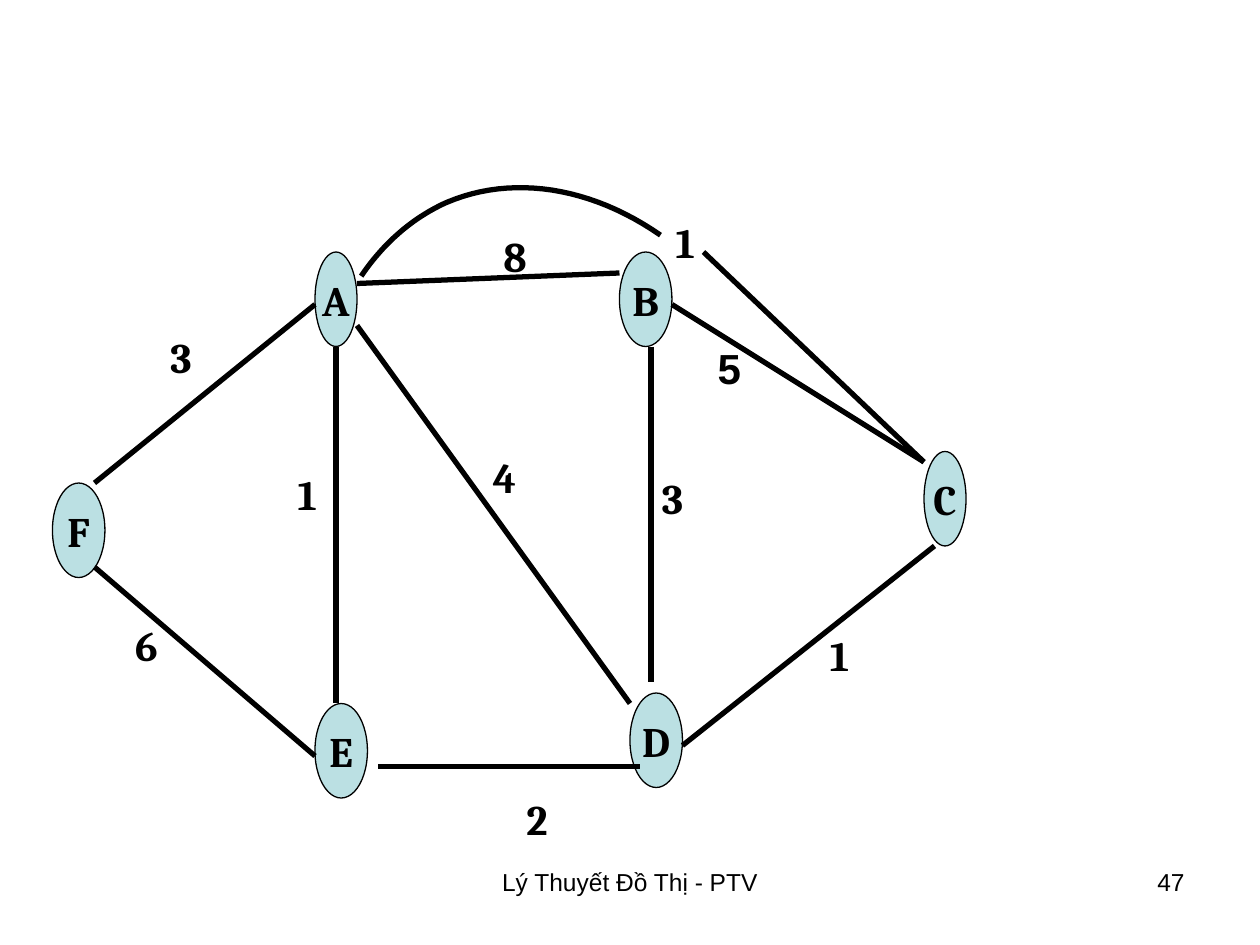
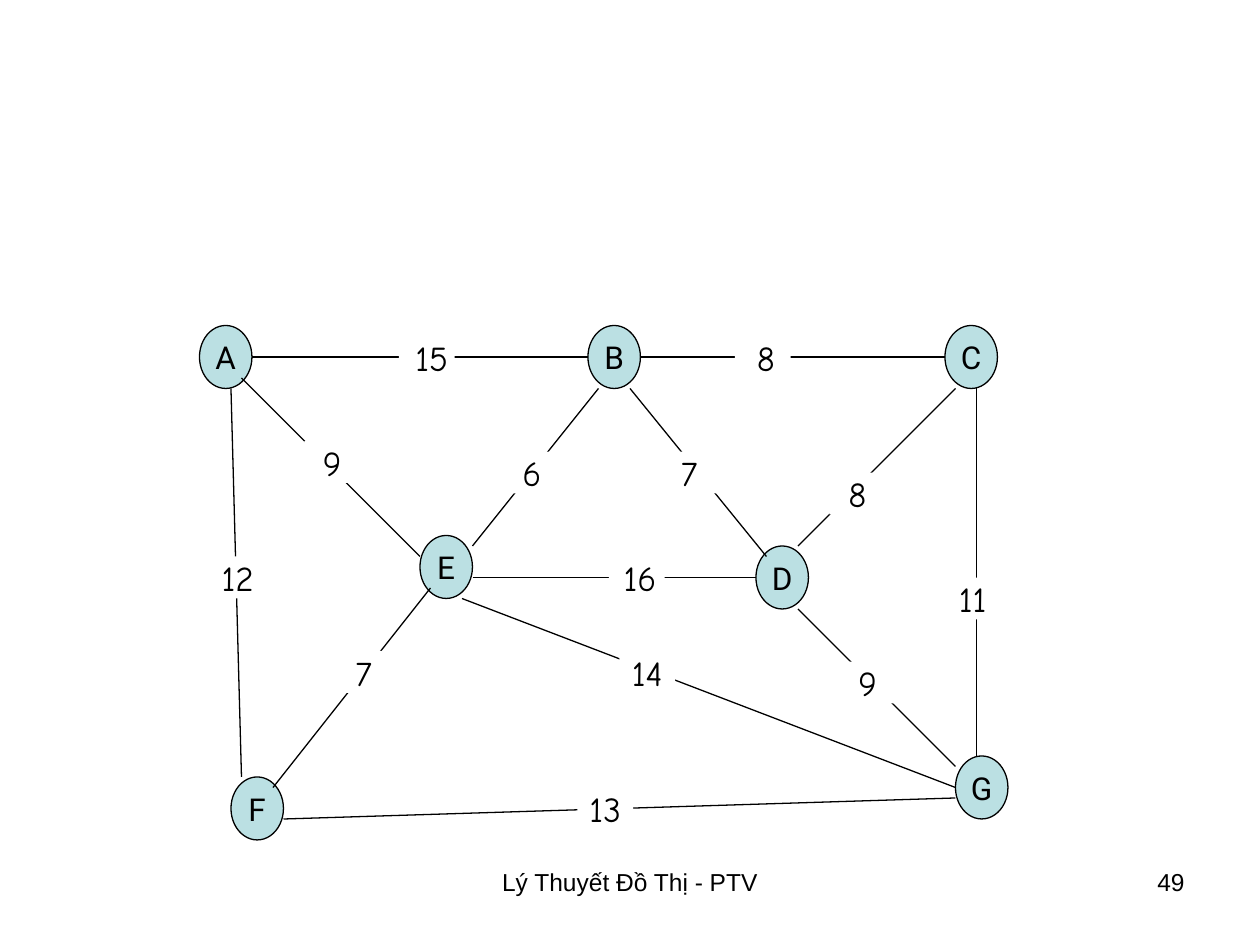
from lxml.etree import SubElement
from pptx import Presentation
from pptx.dml.color import RGBColor
from pptx.enum.shapes import MSO_CONNECTOR, MSO_SHAPE
from pptx.enum.text import MSO_ANCHOR, PP_ALIGN
from pptx.oxml.ns import qn
from pptx.util import Inches, Pt

# Shared look; the slide is a grid of 120 columns and 90 rows
COLUMNS, ROWS = 120, 90
WIDTH, HEIGHT = Inches(10), Inches(7.5)
INK, NODE_FILL, PAPER = "000000", "BBE0E3", "FFFFFF"
FOOTER = "Lý Thuyết Đồ Thị - PTV"
FOOTER_FORMAT = {"name": "Arial", "size": Pt(14), "bold": False}
FOOTER_BOX, NUMBER_BOX = (41, 82, 38, 6.2), (86, 82, 28, 6.2)

# Nodes: name, column, row, width in columns
# Edges: start and end (column, row), weight, label's left and top, left inset in inches
GRAPHS = [
    {
        "number": "47",
        "node_height": 9,
        "node_format": {"name": "Cambria", "size": Pt(24), "bold": True},
        "label_format": {"name": "Cambria", "size": Pt(24), "bold": True},
        "label_size": (4.7, 6),
        "label_fill": None,
        "label_insets": (0.1, 0.05),
        "edge_width": 3,
        "nodes": [
            ("F", 5, 46, 5), ("A", 30, 24, 4), ("E", 30, 67, 5),
            ("B", 59, 24, 5), ("D", 60, 66, 5), ("C", 88, 43, 4),
        ],
        "edges": [
            ((9, 46), (30, 29), "3", 14.9, 31),
            ((34, 27), (59, 26), "8", 46.7, 21.4),
            ((9, 54), (30, 72), "6", 11.6, 58.4),
            ((89, 52), (65, 71), "1", 77.6, 59.4),
            ((36, 73), (61, 73), "2", 48.8, 75),
            ((32, 33), (32, 67), "1", 26.9, 44),
            ((62, 33), (62, 65), "3", 61.7, 44.4),
            ((34, 31), (60, 67), "4", 45.7, 42.4),
            ((64, 29), (88, 44), "5", 67.1, 32),
            ((67, 24), (88, 44), "1", 62.9, 20),
        ],
        "label_fonts": {"5": "Arial"},
        # Cubic curves from B's side to A: start, two controls, end
        "curves": [
            ((62.9, 22.4), (56.3, 17.8), (48.8, 16.6), (42.5, 19.3)),
            ((42.5, 19.3), (39.2, 20.8), (36.5, 23.2), (34.4, 26.3)),
        ],
    },
    {
        "number": "49",
        "node_height": 6,
        "node_format": {"name": "Roboto", "size": Pt(18), "bold": False},
        "label_format": {"name": "Comic Neue", "size": Pt(20), "bold": False},
        "label_size": (5.3, 4),
        "label_fill": PAPER,
        "label_insets": (0, 0),
        "edge_width": 0.75,
        "nodes": [
            ("A", 19, 31, 5), ("E", 40, 51, 5), ("D", 72, 52, 5), ("F", 22, 74, 5),
            ("G", 91, 72, 5), ("C", 90, 31, 5), ("B", 56, 31, 5),
        ],
        "edges": [
            ((24, 34), (56, 34), "15", 38, 32, 0.08),
            ((61, 34), (90, 34), "8", 70, 32, 0.05),
            ((27, 78), (91, 76), "13", 55, 75),
            ((22, 37), (23, 74), "12", 20, 53),
            ((93, 37), (93, 72), "11", 90, 55),
            ((23, 36), (40, 53), "9", 29, 42),
            ((57, 37), (45, 52), "6", 48, 43),
            ((41, 56), (26, 75), "7", 32, 62),
            ((91, 37), (76, 52), "8", 79, 45),
            ((60, 37), (73, 53), "7", 63, 43),
            ((76, 58), (91, 73), "9", 80, 63),
            ((45, 55), (72, 55), "16", 58, 53, 0.05),
            ((44, 57), (91, 75), "14", 59, 62),
        ],
        "label_fonts": {},
        "curves": [],
    },
]


def color(value):
    return RGBColor.from_string(value)


def place(column, row):
    return round(WIDTH * column / COLUMNS), round(HEIGHT * row / ROWS)


def set_line(line, width):
    line.color.rgb = color(INK)
    line.width = Pt(width)


def write(shape, text, font_format, align=PP_ALIGN.CENTER, wrap=False,
          anchor=MSO_ANCHOR.TOP, insets=(0.1, 0.05), indent=0):
    frame = shape.text_frame
    side, edge = insets
    settings = {
        "word_wrap": wrap, "vertical_anchor": anchor,
        "margin_left": Inches(side + indent), "margin_right": Inches(side),
        "margin_top": Inches(edge), "margin_bottom": Inches(edge),
    }
    for name, value in settings.items():
        setattr(frame, name, value)
    paragraph = frame.paragraphs[0]
    paragraph.text = text
    paragraph.alignment = align
    for name, value in font_format.items():
        setattr(paragraph.font, name, value)
    paragraph.font.color.rgb = color(INK)


def add_text(slide, box, text, font_format, **options):
    column, row, width, height = box
    shape = slide.shapes.add_textbox(*place(column, row), *place(width, height))
    write(shape, text, font_format, **options)
    return shape


def add_node(slide, graph, name, column, row, width):
    shape = slide.shapes.add_shape(
        MSO_SHAPE.OVAL, *place(column, row), *place(width, graph["node_height"]))
    shape.shadow.inherit = False
    shape.fill.solid()
    shape.fill.fore_color.rgb = color(NODE_FILL)
    set_line(shape.line, 0.75)
    write(shape, name, graph["node_format"], anchor=MSO_ANCHOR.MIDDLE)


def add_edge(slide, start, end, width):
    connector = slide.shapes.add_connector(
        MSO_CONNECTOR.STRAIGHT, *place(*start), *place(*end))
    set_line(connector.line, width)
    SubElement(connector._element.spPr, qn("a:effectLst"))


def add_label(slide, graph, weight, left, top, indent=0):
    font_format = dict(graph["label_format"])
    font_format["name"] = graph["label_fonts"].get(weight, font_format["name"])
    shape = add_text(slide, (left, top, *graph["label_size"]), weight, font_format,
                     insets=graph["label_insets"], indent=indent,
                     wrap=graph["label_fill"] is not None)
    if graph["label_fill"]:
        shape.fill.solid()
        shape.fill.fore_color.rgb = color(graph["label_fill"])


def curve_point(curve, share):
    rest = 1 - share
    factors = (rest ** 3, 3 * rest ** 2 * share, 3 * rest * share ** 2, share ** 3)
    return place(*(sum(factor * point[axis] for factor, point in zip(factors, curve))
                   for axis in (0, 1)))


def add_curve(slide, curves, width, steps=24):
    points = [curve_point(curve, step / steps)
              for curve in curves for step in range(1, steps + 1)]
    builder = slide.shapes.build_freeform(*place(*curves[0][0]))
    builder.add_line_segments(points, close=False)
    shape = builder.convert_to_shape()
    shape.shadow.inherit = False
    shape.fill.background()
    set_line(shape.line, width)


def add_graph(presentation, graph):
    slide = presentation.slides.add_slide(presentation.slide_layouts[6])
    for node in graph["nodes"]:
        add_node(slide, graph, *node)
    for start, end, *_ in graph["edges"]:
        add_edge(slide, start, end, graph["edge_width"])
    if graph["curves"]:
        add_curve(slide, graph["curves"], graph["edge_width"])
    for _, _, *label in graph["edges"]:
        add_label(slide, graph, *label)
    # Footer and slide number
    add_text(slide, NUMBER_BOX, graph["number"], FOOTER_FORMAT,
             align=PP_ALIGN.RIGHT, wrap=True)
    add_text(slide, FOOTER_BOX, FOOTER, FOOTER_FORMAT, wrap=True)


def main():
    presentation = Presentation()
    presentation.slide_width, presentation.slide_height = WIDTH, HEIGHT
    for graph in GRAPHS:
        add_graph(presentation, graph)
    presentation.save("out.pptx")


if __name__ == "__main__":
    main()
